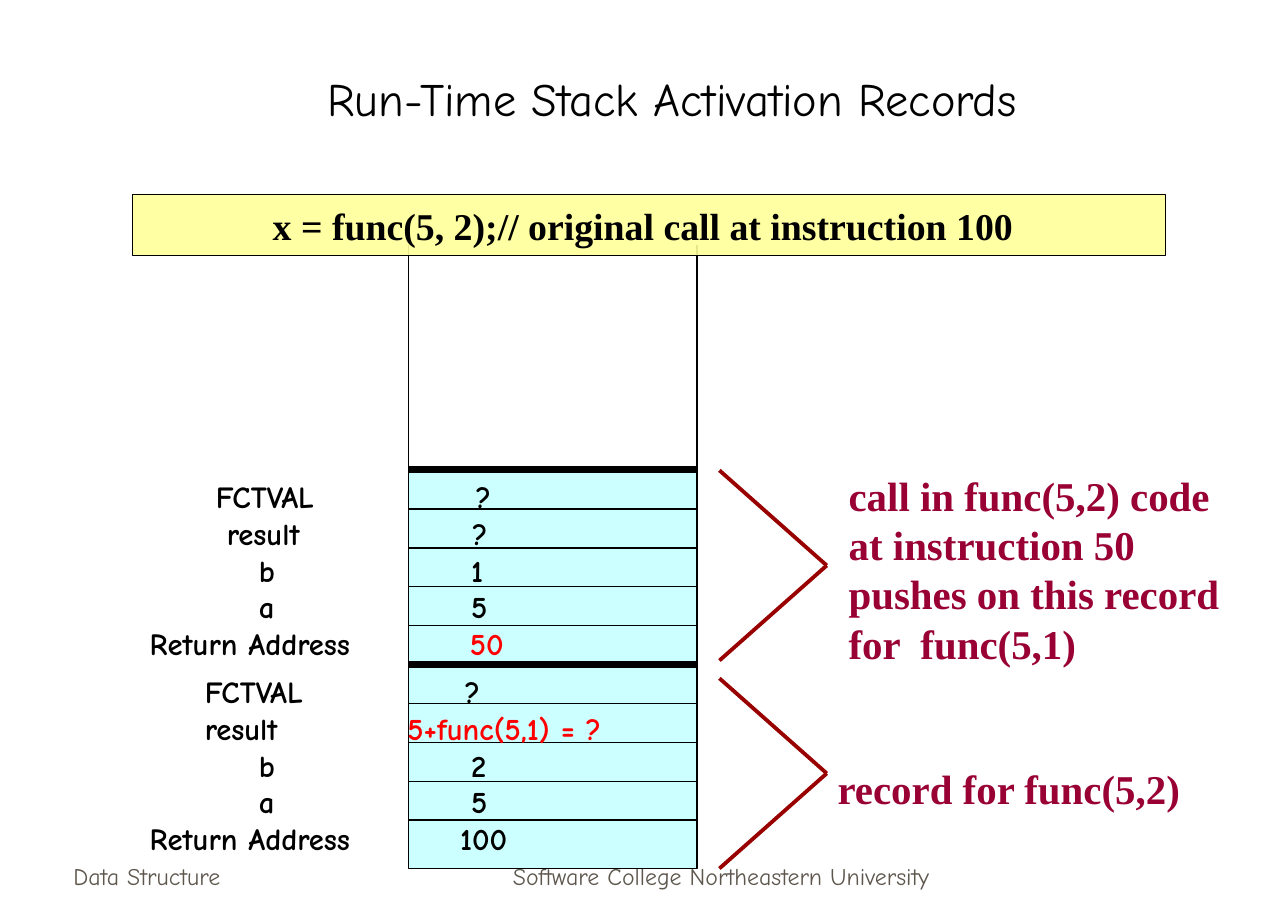
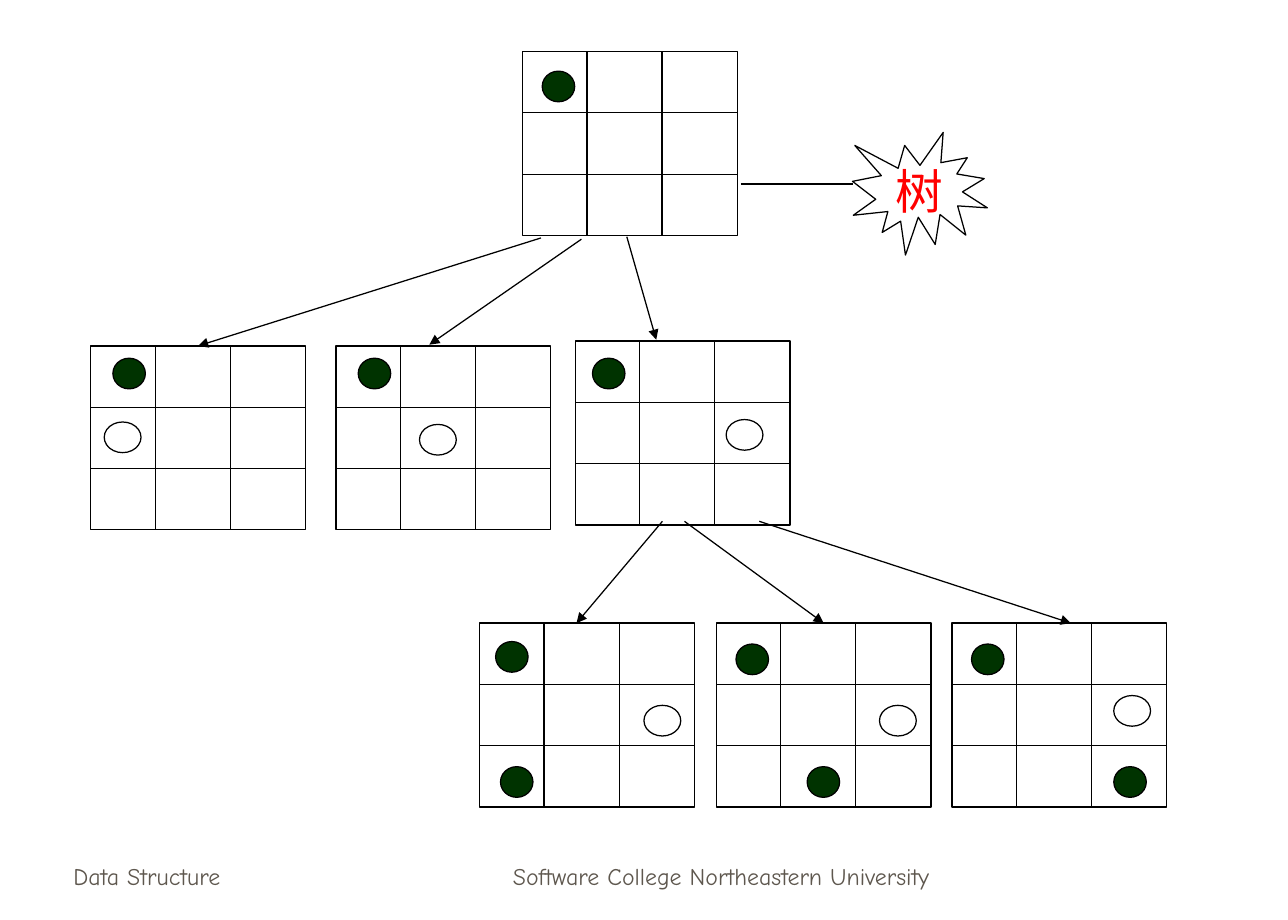
import pptx
import pptx.util
import pptx.dml.color
import pptx.enum.shapes
import pptx.enum.text
import pptx.oxml
import pptx.oxml.ns
from lxml import etree

COLORS = {
    "ink": "000000", "footer": "5E574E", "stack": "CCFFFF", "banner": "FFFF99",
    "bracket": "990000", "note": "990033", "highlight": "FF0000",
    "dark disc": "003300", "light disc": "FFFFFF",
}
HAND, SERIF = "Comic Neue", "Times New Roman"
SHAPES = pptx.enum.shapes.MSO_SHAPE
ALIGN = pptx.enum.text.PP_ALIGN
ANCHOR = pptx.enum.text.MSO_ANCHOR

# The slide is a grid of 42 columns by 30 rows of square cells.
COLUMNS, ROWS = 42, 30
CELL = pptx.util.Inches(0.25)


def grid(*cells):
    return [round(cell * CELL) for cell in cells]


def rgb(name):
    return pptx.dml.color.RGBColor.from_string(COLORS[name])


def qualified(name):
    return pptx.oxml.ns.qn(name)


def style_font(font, size, family, color, bold=False):
    font.size = pptx.util.Pt(size)
    font.name = family
    font.bold = bold
    font.color.rgb = rgb(color)


def write(shape, lines, size, family, color="ink", bold=False,
          align=ALIGN.LEFT, anchor=ANCHOR.TOP):
    frame = shape.text_frame
    frame.word_wrap = True
    frame.vertical_anchor = anchor
    frame.text = "\n".join(lines)
    for paragraph in frame.paragraphs:
        paragraph.alignment = align
        style_font(paragraph.font, size, family, color, bold)
    return frame


def add_text(slide, box, lines, *style, **options):
    return write(slide.shapes.add_textbox(*grid(*box)), lines, *style, **options)


def add_figure(slide, kind, box, fill=None, width=0.75):
    shape = slide.shapes.add_shape(kind, *grid(*box))
    shape.shadow.inherit = False
    if fill:
        shape.fill.solid()
        shape.fill.fore_color.rgb = rgb(fill)
    else:
        shape.fill.background()
    shape.line.color.rgb = rgb("ink")
    shape.line.width = pptx.util.Pt(width)
    return shape


def add_line(slide, start, end, width=0.75, color="ink", arrow=False):
    line = slide.shapes.add_connector(
        pptx.enum.shapes.MSO_CONNECTOR.STRAIGHT, *grid(*start, *end))
    line.line.color.rgb = rgb(color)
    line.line.width = pptx.util.Pt(width)
    properties = line._element.spPr
    if arrow:
        etree.SubElement(properties.find(qualified("a:ln")),
                         qualified("a:tailEnd"), type="triangle")
    etree.SubElement(properties, qualified("a:effectLst"))
    return line


def add_slide(presentation):
    """Add a blank slide with the shared footer."""
    slide = presentation.slides.add_slide(presentation.slide_layouts[6])
    add_text(slide, (2, 27.24, 8.76, 2), ["Data Structure"], 14, HAND,
             "footer", anchor=ANCHOR.BOTTOM)
    add_text(slide, (14.36, 27.24, 18.32, 2),
             ["Software College Northeastern University"], 14, HAND,
             "footer", align=ALIGN.CENTER, anchor=ANCHOR.BOTTOM)
    return slide


def add_stack(slide, left, top, width, height, wall_top):
    """Draw the filled stack of two five-row records and its open walls."""
    add_figure(slide, SHAPES.RECTANGLE, (left, top, width, height), "stack", 1)
    row_height = 1.27
    for row in range(10):
        y = top + row * row_height
        add_line(slide, (left, y), (left + width, y), 1 if row % 5 else 4)
    for x in (left, left + width):
        add_line(slide, (x, wall_top), (x, top + height), 1)


def add_record(slide, left, top, rows):
    """Write label and value rows; each row names its two tab stops in cells."""
    frame = add_text(slide, (left, top, 19, 6),
                     [f"\t{label}\t" for label, *_ in rows],
                     18, HAND, bold=True)
    frame.margin_left = frame.margin_top = frame.margin_bottom = 0
    for paragraph, row in zip(frame.paragraphs, rows):
        label, label_tab, value, value_tab, color = row
        paragraph.line_spacing = pptx.util.Pt(21.5)
        properties = paragraph._p.get_or_add_pPr()
        tabs = pptx.oxml.parse_xml(
            '<a:tabLst xmlns:a='
            '"http://schemas.openxmlformats.org/drawingml/2006/main"/>')
        for stop in grid(label_tab, value_tab):
            etree.SubElement(tabs, qualified("a:tab"), pos=str(stop), algn="l")
        properties.find(qualified("a:defRPr")).addprevious(tabs)
        run = paragraph.add_run()
        run.text = value
        run.font.color.rgb = rgb(color)


def add_bracket(slide, left, top, width, height):
    tip = (left + width, top + height / 2)
    for y in (top, top + height):
        add_line(slide, (left, y), tip, 2.25, "bracket")


def add_banner(slide, box, text):
    banner = add_figure(slide, SHAPES.RECTANGLE, box, "banner", 0.25)
    color = banner._element.spPr.find(".//" + qualified("a:srgbClr"))
    etree.SubElement(color, qualified("a:alpha"), val="90000")
    frame = write(banner, [text], 22.2, SERIF, bold=True,
                  align=ALIGN.CENTER, anchor=ANCHOR.BOTTOM)
    frame.margin_right = pptx.util.Inches(0.19)
    frame.paragraphs[0].line_spacing = 0.9


def add_stack_slide(presentation):
    slide = add_slide(presentation)
    add_stack(slide, 13.32, 15.32, 9.42, 13, wall_top=8)
    add_record(slide, 4, 15.6, [
        ("FCTVAL", 3.04, "?", 11.52, "ink"),
        ("result", 3.4, "?", 11.4, "ink"),
        ("b", 4.44, "1", 11.36, "ink"),
        ("a", 4.44, "5", 11.36, "ink"),
        ("Return Address", 0.88, "50", 11.32, "highlight"),
    ])
    add_record(slide, 4, 21.96, [
        ("FCTVAL", 2.68, "?", 11.16, "ink"),
        ("result", 2.68, "5+func(5,1) = ?", 9.28, "highlight"),
        ("b", 4.44, "2", 11.36, "ink"),
        ("a", 4.44, "5", 11.36, "ink"),
        ("Return Address", 0.88, "100", 11, "ink"),
    ])
    for top in (15.34, 22.12):
        add_bracket(slide, 23.46, top, 3.5, 6.2)
    add_text(slide, (27.28, 15.16, 13.6, 6.8),
             ["call in func(5,2) code", "at instruction 50",
              "pushes on this record", "for  func(5,1)"],
             24, SERIF, "note", bold=True)
    add_text(slide, (26.92, 24.72, 12.8, 2), ["record for func(5,2)"],
             24, SERIF, "note", bold=True)
    title = add_text(slide, (2, 2, 39.84, 2.32),
                     ["Run-Time Stack Activation Records"], 27.2, HAND,
                     align=ALIGN.CENTER, anchor=ANCHOR.BOTTOM)
    title.paragraphs[0].line_spacing = 0.9
    add_banner(slide, (4.32, 6.32, 33.68, 2),
               "x = func(5, 2);// original call at instruction 100")


def add_board(slide, left, top, dark, light):
    """Draw a three-by-three board; discs are offsets from its corner."""
    width, height = 7, 6
    board = add_figure(slide, SHAPES.RECTANGLE, (left, top, width, height))
    for share in (1 / 3, 2 / 3):
        y = top + height * share
        add_line(slide, (left, y), (left + width, y))
    for share in (0.3, 0.65):
        x = left + width * share
        add_line(slide, (x, top), (x, top + height))
    for discs, fill, disc_width in ((dark, "dark disc", 1.06),
                                    (light, "light disc", 1.2)):
        for x, y in discs:
            add_figure(slide, SHAPES.OVAL,
                       (left + x, top + y, disc_width, 1), fill)
    return board


def add_tree_slide(presentation):
    slide = add_slide(presentation)
    boards = {name: add_board(slide, *board) for name, board in {
        "root": (17.04, 1.68, [(0.64, 0.64)], []),
        "edge reply": (2.96, 11.28, [(0.72, 0.4)], [(0.44, 2.48)]),
        "centre reply": (10.96, 11.28, [(0.72, 0.4)], [(2.72, 2.56)]),
        "right reply": (18.76, 11.12, [(0.56, 0.56)], [(4.92, 2.56)]),
        "left move": (15.64, 20.32, [(0.52, 0.6), (0.68, 4.68)],
                      [(5.36, 2.68)]),
        "middle move": (23.36, 20.32, [(0.64, 0.68), (2.96, 4.68)],
                        [(5.32, 2.68)]),
        "right move": (31.04, 20.32, [(0.64, 0.68), (5.28, 4.68)],
                       [(5.28, 2.36)]),
    }.items()}
    for start, end, target in (
            ((17.64, 7.76), (6.46, 11.28), "edge reply"),
            ((18.96, 7.8), (14, 11.24), None),
            ((20.44, 7.72), (21.4, 11.08), None),
            ((21.6, 17), (18.8, 20.32), None),
            ((22.32, 17), (26.86, 20.32), "middle move"),
            ((24.76, 17), (34.92, 20.32), None)):
        arrow = add_line(slide, start, end, arrow=True)
        if target:
            arrow.end_connect(boards[target], 0)
    burst = add_figure(slide, SHAPES.EXPLOSION1, (27.8, 4.32, 4.4, 4))
    write(burst, ["树"], 28, SERIF, "highlight",
          align=ALIGN.CENTER, anchor=ANCHOR.MIDDLE)
    add_line(slide, (24.16, 6), (27.8, 6))


def main():
    presentation = pptx.Presentation()
    presentation.slide_width = COLUMNS * CELL
    presentation.slide_height = ROWS * CELL
    add_stack_slide(presentation)
    add_tree_slide(presentation)
    presentation.save("out.pptx")


if __name__ == "__main__":
    main()
